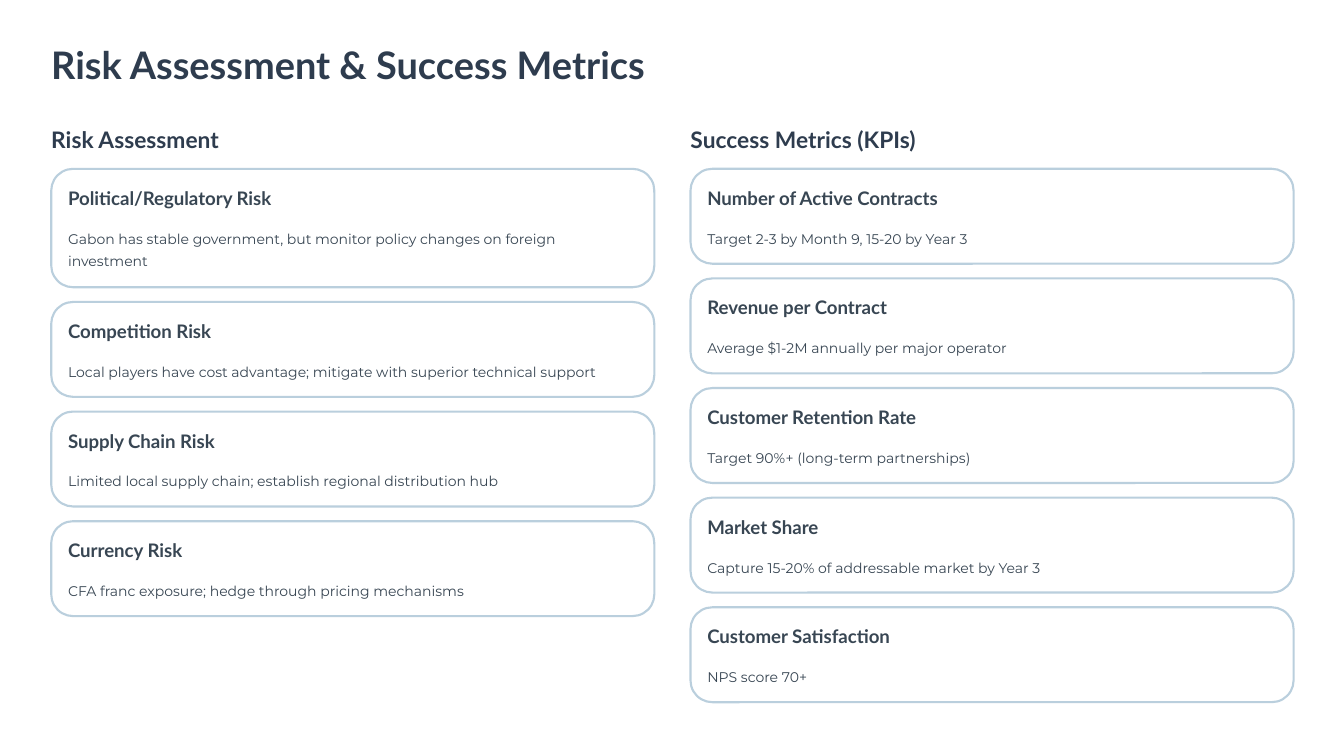
from pptx import Presentation
from pptx import util as u
from pptx.dml.color import RGBColor
from pptx.enum import shapes, text

NAVY, SLATE, BORDER, WHITE = "2E3C4E", "384653", "BACFDD", "FFFFFF"

# Grid in inches
LEFT, COLUMN_STEP, CARD_W = 0.61, 7.61, 7.18
CARDS_TOP, CARDS_BOTTOM, CARD_H, EXTRA_LINE = 2.01, 8.36, 1.13, 0.28
GAP = (CARDS_BOTTOM - CARDS_TOP - 5 * CARD_H) / 4
PAD, RADIUS = 0.2, 0.26

# Heading, then (card title, description, lines of description)
COLUMNS = [
    ("Risk Assessment", [
        ("Political/Regulatory Risk",
         "Gabon has stable government, but monitor policy changes on foreign investment", 2),
        ("Competition Risk",
         "Local players have cost advantage; mitigate with superior technical support", 1),
        ("Supply Chain Risk",
         "Limited local supply chain; establish regional distribution hub", 1),
        ("Currency Risk", "CFA franc exposure; hedge through pricing mechanisms", 1),
    ]),
    ("Success Metrics (KPIs)", [
        ("Number of Active Contracts", "Target 2-3 by Month 9, 15-20 by Year 3", 1),
        ("Revenue per Contract", "Average $1-2M annually per major operator", 1),
        ("Customer Retention Rate", "Target 90%+ (long-term partnerships)", 1),
        ("Market Share", "Capture 15-20% of addressable market by Year 3", 1),
        ("Customer Satisfaction", "NPS score 70+", 1),
    ]),
]


def rgb(value):
    return RGBColor.from_string(value)


def write(sp, box, words, size, spacing, color, font="Lato", bold=True):
    sp.left, sp.top, sp.width, sp.height = [u.Inches(v) for v in box]
    tf = sp.text_frame
    tf.margin_left = tf.margin_top = tf.margin_right = tf.margin_bottom = 0
    tf.auto_size = text.MSO_AUTO_SIZE.NONE
    tf.vertical_anchor = text.MSO_ANCHOR.TOP
    tf.word_wrap = True
    tf.text = words
    p = tf.paragraphs[0]
    p.alignment = text.PP_ALIGN.LEFT
    p.space_before = u.Pt(0)
    p.line_spacing = u.Pt(spacing)
    p.font.name, p.font.size, p.font.bold = font, u.Pt(size), bold
    p.font.color.rgb = rgb(color)


prs = Presentation()
prs.slide_width, prs.slide_height = u.Inches(16), u.Inches(9)
s = prs.slides.add_slide(prs.slide_layouts[5])
s.background.fill.solid()
s.background.fill.fore_color.rgb = rgb(WHITE)

# Title
write(s.shapes.title, (LEFT, 0.48, 14.79, 0.57),
      "Risk Assessment & Success Metrics", 32.5, 40.5, NAVY)

for i, (heading, cards) in enumerate(COLUMNS):
    # Column heading
    x, y = LEFT + i * COLUMN_STEP, CARDS_TOP
    write(s.shapes.add_textbox(0, 0, 0, 0), (x, 1.48, CARD_W, 0.34),
          heading, 19.5, 24.5, NAVY)

    for name, description, lines in cards:
        # Card outline
        h = CARD_H + (lines - 1) * EXTRA_LINE
        card = s.shapes.add_shape(shapes.MSO_SHAPE.ROUNDED_RECTANGLE,
                                  *[u.Inches(v) for v in (x, y, CARD_W, h)])
        card.adjustments[0] = RADIUS / h
        card.shadow.inherit = False
        card.fill.solid()
        card.fill.fore_color.rgb = rgb(WHITE)
        card.line.color.rgb = rgb(BORDER)
        card.line.width = u.Pt(1.8)

        # Card text
        text_w = CARD_W - 2 * PAD
        write(s.shapes.add_textbox(0, 0, 0, 0), (x + PAD, y + 0.2, text_w, 0.28),
              name, 16, 20, SLATE)
        write(s.shapes.add_textbox(0, 0, 0, 0),
              (x + PAD, y + 0.66, text_w, lines * 0.28),
              description, 12, 19.5, SLATE, "Montserrat", False)
        y += h + GAP

prs.save("out.pptx")
